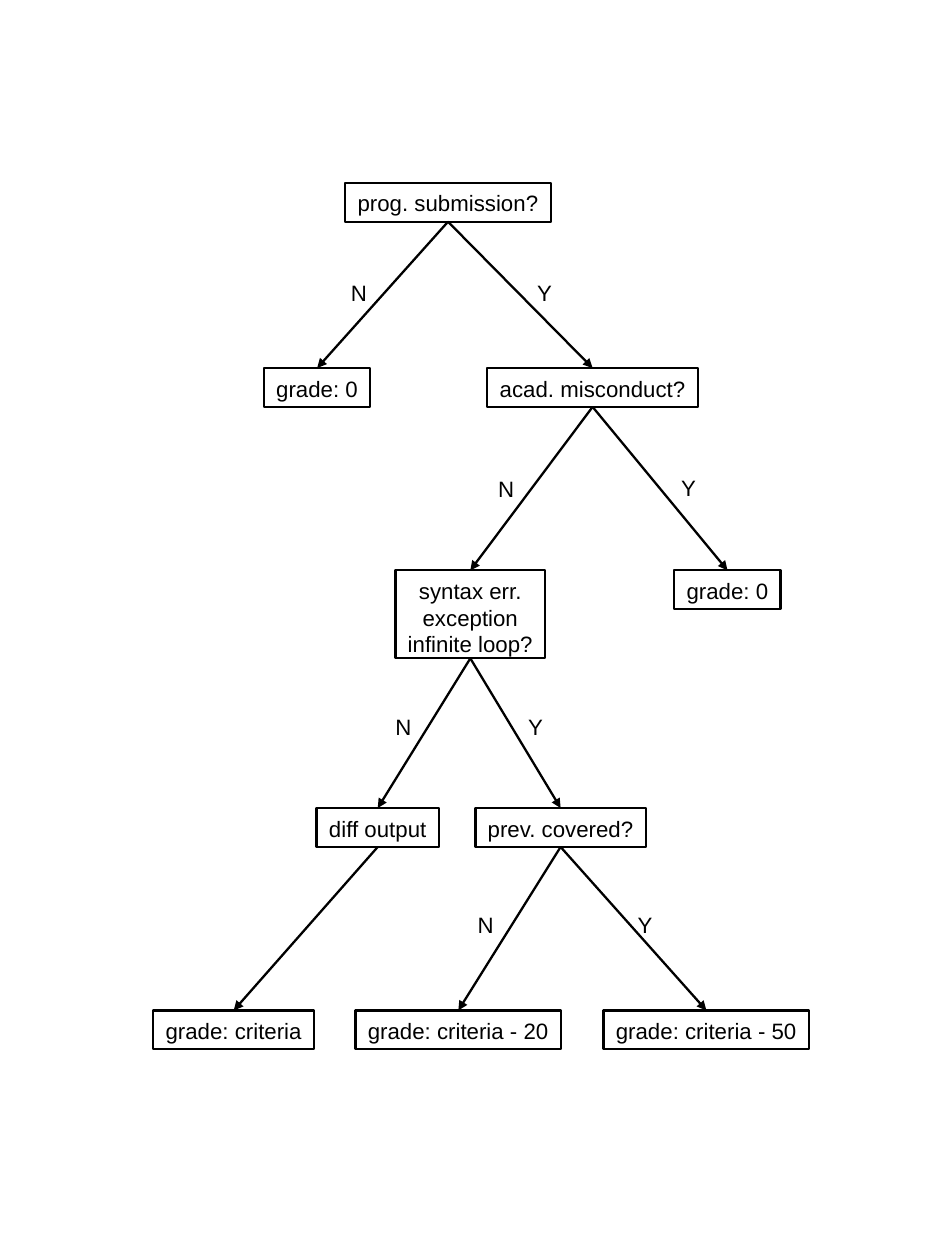
from dataclasses import dataclass

from lxml.etree import SubElement
from pptx import Presentation
from pptx.dml.color import RGBColor
from pptx.enum.shapes import MSO_CONNECTOR, MSO_SHAPE
from pptx.enum.text import MSO_ANCHOR, PP_ALIGN
from pptx.oxml.ns import qn
from pptx.util import Inches, Pt


@dataclass(frozen=True)
class Theme:
    ink: RGBColor = RGBColor(0, 0, 0)
    font: str = "Arial"
    text_size: Pt = Pt(14)
    line_width: Pt = Pt(1.45)


THEME = Theme()
CM_PER_INCH = 2.54
BOTTOM, TOP = 2, 0
LINE_HEIGHT = 0.34
ANSWER_WIDTHS = {"Y": 0.33, "N": 0.34}
ANSWER_HEIGHT = 0.32

# Top of each level of the tree
LEVELS = (1.6, 3.22, 4.99, 7.07, 8.84)

# name: (level, left, width, height, text)
NODES = {
    "submission": (0, 3.02, 1.8, LINE_HEIGHT, "prog. submission?"),
    "misconduct": (1, 4.26, 1.85, LINE_HEIGHT, "acad. misconduct?"),
    "not submitted": (1, 2.31, 0.93, LINE_HEIGHT, "grade: 0"),
    "cheated": (2, 5.9, 0.93, LINE_HEIGHT, "grade: 0"),
    "errors": (2, 3.46, 1.31, 0.77, "syntax err.\nexception\ninfinite loop?"),
    "covered": (3, 4.16, 1.49, LINE_HEIGHT, "prev. covered?"),
    "diff": (3, 2.77, 1.07, LINE_HEIGHT, "diff output"),
    "minus 50": (4, 5.28, 1.8, LINE_HEIGHT, "grade: criteria - 50"),
    "minus 20": (4, 3.11, 1.8, LINE_HEIGHT, "grade: criteria - 20"),
    "full": (4, 1.34, 1.41, LINE_HEIGHT, "grade: criteria"),
}

# (parent, child)
BRANCHES = (
    ("submission", "not submitted"),
    ("submission", "misconduct"),
    ("misconduct", "errors"),
    ("misconduct", "cheated"),
    ("errors", "covered"),
    ("errors", "diff"),
    ("covered", "minus 20"),
    ("covered", "minus 50"),
    ("diff", "full"),
)

# (answer, left, top)
ANSWERS = (
    ("Y", 4.6, 2.39),
    ("N", 2.97, 2.39),
    ("Y", 5.86, 4.1),
    ("N", 4.26, 4.11),
    ("Y", 4.52, 6.19),
    ("N", 3.36, 6.19),
    ("Y", 5.48, 7.92),
    ("N", 4.08, 7.92),
)


def write_centred(shape, text, side_inset, end_inset):
    frame = shape.text_frame
    frame.text = text
    frame.word_wrap = False
    frame.vertical_anchor = MSO_ANCHOR.TOP
    frame.margin_left = frame.margin_right = Inches(side_inset)
    frame.margin_top = frame.margin_bottom = Inches(end_inset)
    for paragraph in frame.paragraphs:
        paragraph.alignment = PP_ALIGN.CENTER
        for run in paragraph.runs:
            run.font.name = THEME.font
            run.font.size = THEME.text_size
            run.font.color.rgb = THEME.ink


def draw_outline(line):
    line.color.rgb = THEME.ink
    line.width = THEME.line_width


def add_node(slide, level, left, width, height, text):
    node = slide.shapes.add_shape(
        MSO_SHAPE.RECTANGLE,
        Inches(left), Inches(LEVELS[level]), Inches(width), Inches(height))
    node.shadow.inherit = False
    node.fill.background()
    draw_outline(node.line)
    write_centred(node, text, 0.11, 0.06)
    return node


def add_arrow(slide, parent, child):
    """Join the bottom of the parent to the top of the child."""
    arrow = slide.shapes.add_connector(MSO_CONNECTOR.STRAIGHT, 0, 0, 0, 0)
    arrow.begin_connect(parent, BOTTOM)
    arrow.end_connect(child, TOP)
    draw_outline(arrow.line)
    properties = arrow._element.spPr
    SubElement(properties.find(qn("a:ln")), qn("a:tailEnd"), type="triangle")
    SubElement(properties, qn("a:effectLst"))


def add_answer(slide, answer, left, top):
    label = slide.shapes.add_textbox(
        Inches(left), Inches(top),
        Inches(ANSWER_WIDTHS[answer]), Inches(ANSWER_HEIGHT))
    write_centred(label, answer, 0.1, 0.05)


def main():
    presentation = Presentation()
    presentation.slide_width = Inches(21 / CM_PER_INCH)
    presentation.slide_height = Inches(28 / CM_PER_INCH)
    slide = presentation.slides.add_slide(presentation.slide_layouts[6])

    nodes = {name: add_node(slide, *node) for name, node in NODES.items()}
    for parent, child in BRANCHES:
        add_arrow(slide, nodes[parent], nodes[child])
    for answer, left, top in ANSWERS:
        add_answer(slide, answer, left, top)

    presentation.save("out.pptx")


if __name__ == "__main__":
    main()
